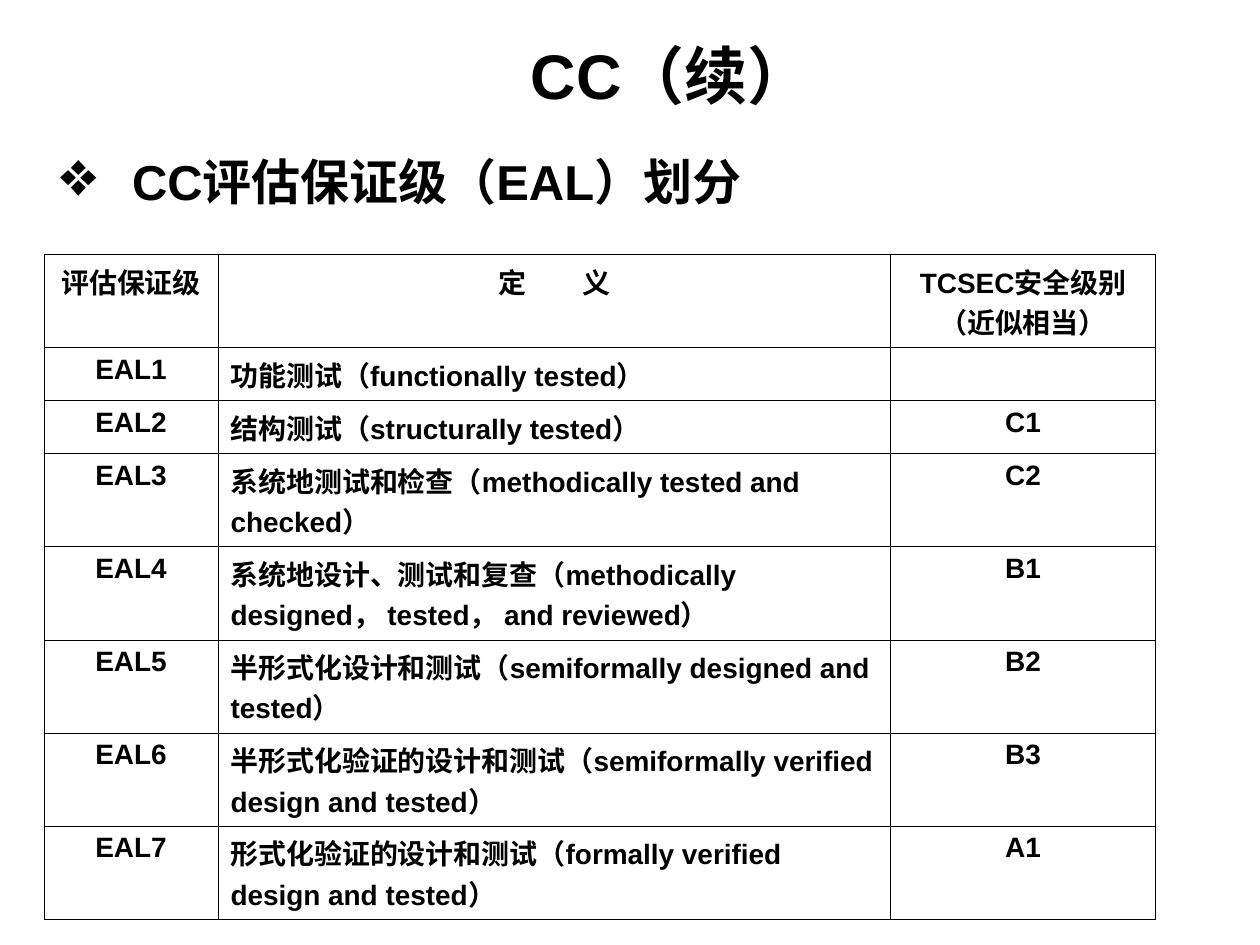
from lxml import etree
from pptx import Presentation
from pptx.dml.color import RGBColor
from pptx.enum.text import MSO_ANCHOR, PP_ALIGN
from pptx.oxml.ns import qn
from pptx.util import Inches, Pt

CENTER, LEFT = PP_ALIGN.CENTER, PP_ALIGN.LEFT
MIDDLE, TOP = MSO_ANCHOR.MIDDLE, MSO_ANCHOR.TOP
BLACK = "000000"


def color(hex_string):
    return RGBColor.from_string(hex_string)


def write(tf, text, size, align):
    tf.word_wrap = True
    tf.text = text
    p = tf.paragraphs[0]
    p.alignment = align
    for r in p.runs:
        r.font.name = "Arial"
        r.font.size = Pt(size)
        r.font.bold = True
        r.font.color.rgb = color(BLACK)
    return p


prs = Presentation()
prs.slide_width, prs.slide_height = Inches(10), Inches(7.5)
s = prs.slides.add_slide(prs.slide_layouts[6])

# Title
title = s.shapes.add_textbox(Inches(1), Inches(0.28), Inches(8.65), Inches(0.62))
write(title.text_frame, "CC（续）", 36, CENTER)
title.text_frame.vertical_anchor = MIDDLE

# Bulleted heading with a hanging indent
heading = s.shapes.add_textbox(Inches(0.35), Inches(1.15), Inches(7.65), Inches(0.73))
p = write(heading.text_frame, "CC评估保证级（EAL）划分", 28, LEFT)
pPr = p._p.get_or_add_pPr()
pPr.set("marL", str(Inches(0.6)))
pPr.set("indent", str(-Inches(0.57)))
etree.SubElement(pPr, qn("a:buSzPct"), val="130000")
etree.SubElement(pPr, qn("a:buChar"), char="❖")

# Table of assurance levels
header = ("评估保证级", "定\u3000\u3000义", "TCSEC安全级别（近似相当）")
levels = [
    ("功能测试（functionally tested）", ""),
    ("结构测试（structurally tested）", "C1"),
    ("系统地测试和检查（methodically tested and checked）", "C2"),
    ("系统地设计、测试和复查（methodically designed， tested， and reviewed）", "B1"),
    ("半形式化设计和测试（semiformally designed and tested）", "B2"),
    ("半形式化验证的设计和测试（semiformally verified design and tested）", "B3"),
    ("形式化验证的设计和测试（formally verified design and tested）", "A1"),
]
rows = [header] + [(f"EAL{i}", *level) for i, level in enumerate(levels, 1)]
col_widths = (1.38, 5.34, 2.1)
single_line_rows = (1, 2)
row_heights = [0.42 if i in single_line_rows else 0.74 for i in range(len(rows))]

table = s.shapes.add_table(len(rows), len(header), Inches(0.35), Inches(2.02),
                           Inches(sum(col_widths)), Inches(sum(row_heights))).table
table.first_row = table.horz_banding = False
for column, width in zip(table.columns, col_widths):
    column.width = Inches(width)

for i, row in enumerate(rows):
    table.rows[i].height = Inches(row_heights[i])
    for j, text in enumerate(row):
        cell = table.cell(i, j)
        cell.vertical_anchor = TOP
        write(cell.text_frame, text, 16, LEFT if i and j == 1 else CENTER)
        # Thin black borders come before the fill in the cell properties
        tcPr = cell._tc.get_or_add_tcPr()
        for side in ("a:lnL", "a:lnR", "a:lnT", "a:lnB"):
            ln = etree.SubElement(tcPr, qn(side), w=str(Pt(0.45)))
            fill = etree.SubElement(ln, qn("a:solidFill"))
            etree.SubElement(fill, qn("a:srgbClr"), val=BLACK)
        cell.fill.background()

prs.save("out.pptx")
